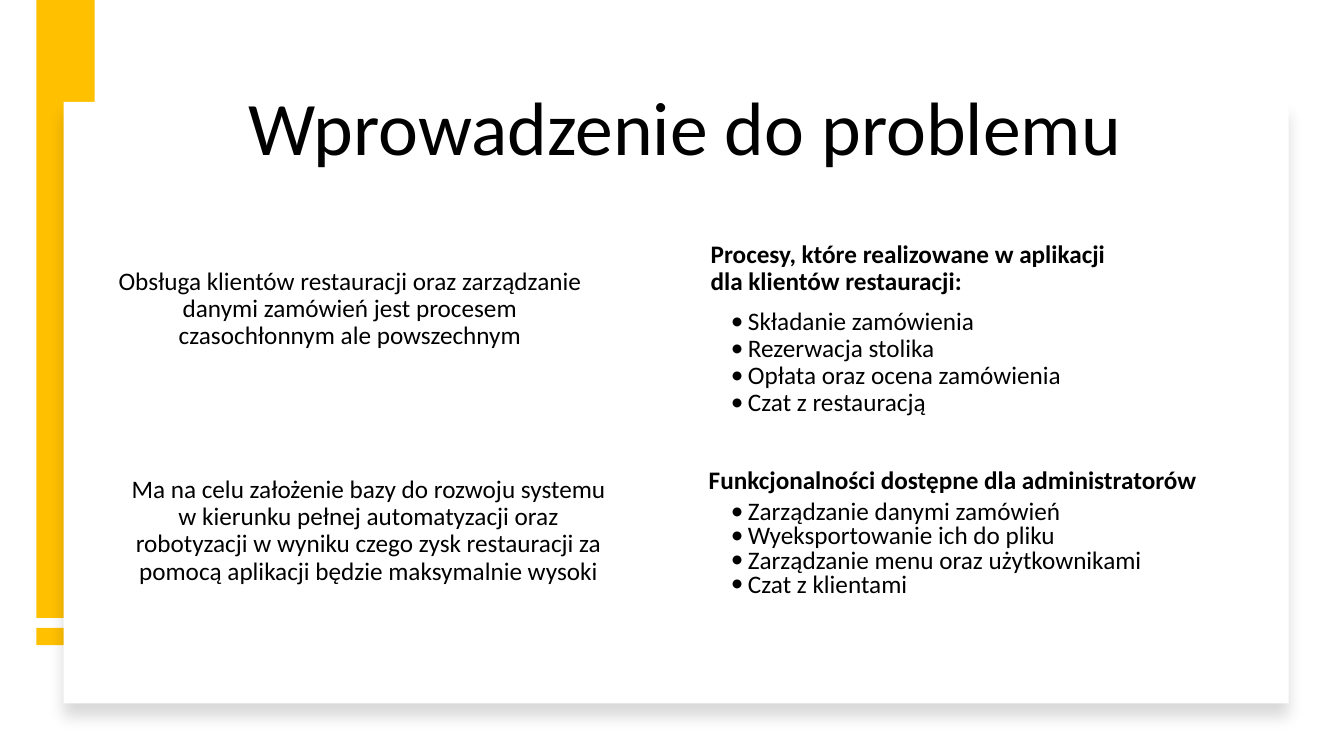
from dataclasses import dataclass

from lxml.etree import SubElement
from pptx import Presentation
from pptx.dml.color import RGBColor
from pptx.enum.shapes import MSO_SHAPE
from pptx.enum.text import MSO_ANCHOR, MSO_AUTO_SIZE, PP_ALIGN
from pptx.oxml.ns import qn
from pptx.util import Emu, Pt

SCALE = 9144  # EMU per px, 100 px to the inch


@dataclass(frozen=True)
class Theme:
    font: str = "Calibri"
    ink: RGBColor = RGBColor(0, 0, 0)
    paper: RGBColor = RGBColor(255, 255, 255)
    accent: RGBColor = RGBColor(0xFF, 0xC0, 0)
    title: int = 54
    body: int = 18


@dataclass(frozen=True)
class Box:
    left: int
    top: int
    width: int
    height: int

    def emu(self) -> list[Emu]:
        return [px(n) for n in (self.left, self.top, self.width, self.height)]


@dataclass(frozen=True)
class Panel:
    box: Box
    fill: RGBColor


@dataclass(frozen=True)
class Note:
    box: Box
    lines: tuple[str, ...]
    align: PP_ALIGN = PP_ALIGN.LEFT
    bold: bool = False
    bullet: bool = False
    pitch: float = 0.9


THEME = Theme()
TITLE = Box(141, 27, 1077, 148)
BARS = (
    Panel(Box(36, 623, 58, 17), THEME.accent),
    Panel(Box(36, 0, 58, 613), THEME.accent),
)
CARD = Panel(Box(63, 101, 1215, 597), THEME.paper)
NOTES = (
    Note(Box(93, 198, 508, 218),
         ("Obsługa klientów restauracji oraz zarządzanie danymi zamówień "
          "jest procesem czasochłonnym ale powszechnym",), PP_ALIGN.CENTER),
    Note(Box(705, 280, 508, 160),
         ("Składanie zamówienia", "Rezerwacja stolika",
          "Opłata oraz ocena zamówienia", "Czat z restauracją"), bullet=True),
    Note(Box(705, 492, 442, 107),
         ("Zarządzanie danymi zamówień", "Wyeksportowanie ich do pliku",
          "Zarządzanie menu oraz użytkownikami", "Czat z klientami"),
         bullet=True, pitch=0.8),
    Note(Box(120, 405, 491, 244),
         ("Ma na celu założenie bazy do rozwoju systemu w kierunku pełnej "
          "automatyzacji oraz robotyzacji w wyniku czego zysk restauracji za "
          "pomocą aplikacji będzie maksymalnie wysoki",), PP_ALIGN.CENTER),
    Note(Box(695, 187, 508, 160),
         ("Procesy, które realizowane w aplikacji\vdla klientów restauracji:",),
         bold=True),
    Note(Box(691, 441, 508, 73),
         ("Funkcjonalności dostępne dla administratorów",),
         PP_ALIGN.CENTER, bold=True),
)


def px(count: int) -> Emu:
    return Emu(count * SCALE)


def add_panel(slide, panel: Panel):
    shape = slide.shapes.add_shape(MSO_SHAPE.RECTANGLE, *panel.box.emu())
    shape.shadow.inherit = False
    shape.fill.solid()
    shape.fill.fore_color.rgb = panel.fill
    shape.line.fill.background()
    return shape


def add_shadow(shape) -> None:
    """Cast a soft black shadow straight down."""
    effects = shape.element.spPr.find(qn("a:effectLst"))
    outer = SubElement(effects, qn("a:outerShdw"), blurRad=str(Pt(11)),
                       dist=str(Pt(10)), dir="5400000", rotWithShape="0")
    color = SubElement(outer, qn("a:srgbClr"), val=str(THEME.ink))
    SubElement(color, qn("a:alpha"), val="15000")


def add_bullet(para) -> None:
    props = para._p.get_or_add_pPr()
    props.set("marL", str(px(27)))
    props.set("indent", str(-px(17)))
    SubElement(props, qn("a:buFont"), typeface=THEME.font)
    SubElement(props, qn("a:buChar"), char="•")


def style(para, size: int, align: PP_ALIGN, pitch: float = 0.9,
          bold: bool = False) -> None:
    para.alignment = align
    para.line_spacing = pitch
    para.space_before = Pt(0)
    para.font.name = THEME.font
    para.font.size = Pt(size)
    para.font.bold = bold
    para.font.color.rgb = THEME.ink


def set_title(slide, text: str) -> None:
    title = slide.shapes.title
    title.left, title.top, title.width, title.height = TITLE.emu()
    frame = title.text_frame
    frame.text = text
    frame.auto_size = MSO_AUTO_SIZE.NONE
    frame.vertical_anchor = MSO_ANCHOR.BOTTOM
    style(frame.paragraphs[0], THEME.title, PP_ALIGN.CENTER)


def add_note(slide, note: Note) -> None:
    frame = slide.shapes.add_textbox(*note.box.emu()).text_frame
    frame.word_wrap = True
    frame.vertical_anchor = MSO_ANCHOR.MIDDLE
    frame.text = "\n".join(note.lines)
    for para in frame.paragraphs:
        if note.bullet:
            add_bullet(para)
        style(para, THEME.body, note.align, note.pitch, note.bold)


def main() -> None:
    deck = Presentation()
    deck.slide_width, deck.slide_height = px(1333), px(750)
    slide = deck.slides.add_slide(deck.slide_layouts.get_by_name("Title Only"))
    for bar in BARS:
        add_panel(slide, bar)
    add_shadow(add_panel(slide, CARD))
    # The title placeholder must lie above the card
    slide.shapes._spTree.append(slide.shapes.title.element)
    set_title(slide, "Wprowadzenie do problemu")
    for note in NOTES:
        add_note(slide, note)
    deck.save("out.pptx")


if __name__ == "__main__":
    main()
